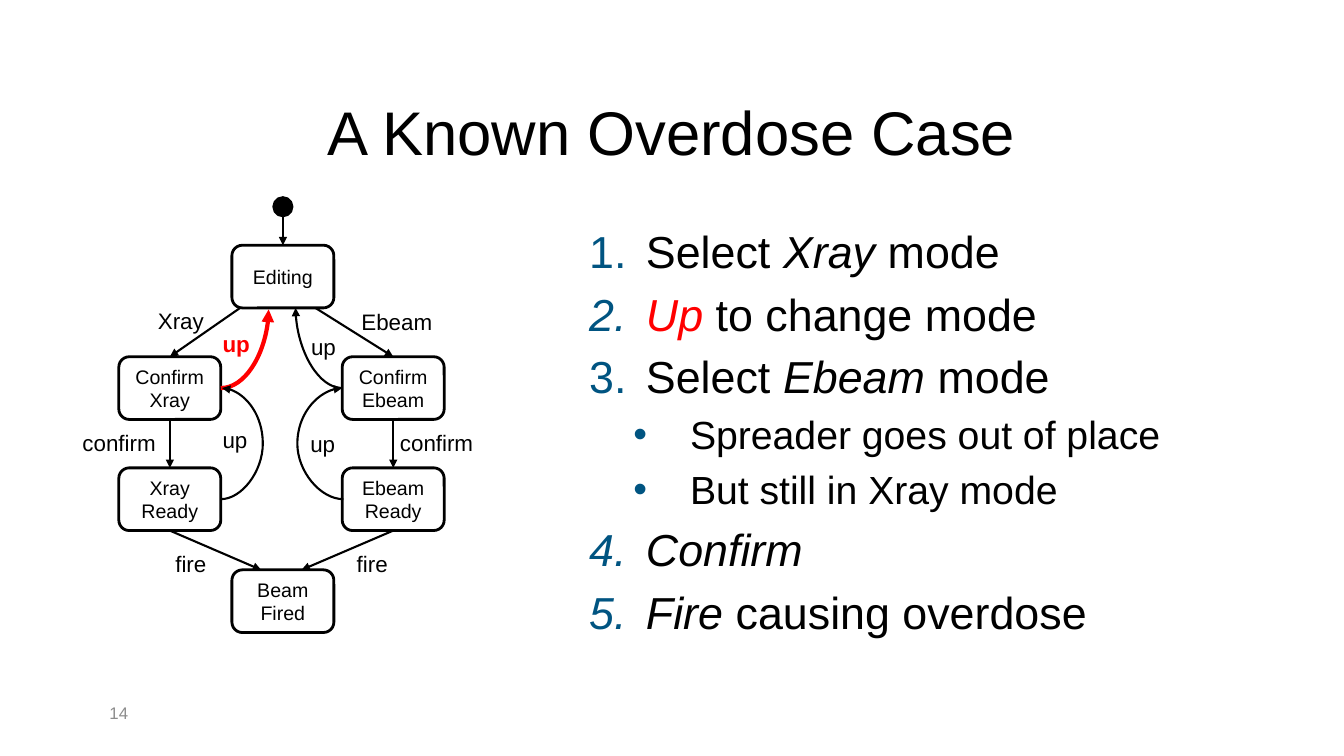
from lxml import etree
from pptx import Presentation
from pptx.dml.color import RGBColor
from pptx.enum.shapes import MSO_CONNECTOR, MSO_SHAPE
from pptx.enum.text import MSO_ANCHOR, PP_ALIGN
from pptx.oxml.ns import qn
from pptx.util import Cm, Pt

BLACK = RGBColor(0x00, 0x00, 0x00)
WHITE = RGBColor(0xFF, 0xFF, 0xFF)
RED = RGBColor(0xFF, 0x00, 0x00)
GRAY = RGBColor(0x8C, 0x8C, 0x8C)
BLUE = RGBColor(0x00, 0x54, 0x81)

ROUNDED, DOT = MSO_SHAPE.ROUNDED_RECTANGLE, MSO_SHAPE.FLOWCHART_CONNECTOR
STRAIGHT, CURVE = MSO_CONNECTOR.STRAIGHT, MSO_CONNECTOR.CURVE
LEFT, CENTER = PP_ALIGN.LEFT, PP_ALIGN.CENTER
TOP, MIDDLE = MSO_ANCHOR.TOP, MSO_ANCHOR.MIDDLE

# State grid in cm: three column centres and four row tops
STATE_W, STATE_H = 2.57, 1.58
XRAY_X, MAIN_X, EBEAM_X = 4.28, 7.13, 9.91
EDIT_Y, CONFIRM_Y, READY_Y, FIRED_Y = 6.18, 8.99, 11.79, 14.36


def write(paragraph, text, size=16, color=BLACK, bold=False, italic=False):
    run = paragraph.add_run()
    run.text = text
    font = run.font
    font.name, font.size = "Arial", Pt(size)
    font.bold, font.italic = bold, italic
    font.color.rgb = color


def add_xml(parent, tag, **attributes):
    return etree.SubElement(parent, qn(tag), attributes)


class DiagramSlide:
    def __init__(self, slide):
        self.shapes = slide.shapes

    def text(self, x, y, w, h, text="", align=LEFT, anchor=TOP, **fmt):
        frame = self.shapes.add_textbox(Cm(x), Cm(y), Cm(w), Cm(h)).text_frame
        frame.word_wrap = True
        frame.vertical_anchor = anchor
        frame.paragraphs[0].alignment = align
        if text:
            write(frame.paragraphs[0], text, **fmt)
        return frame

    def shape(self, kind, x, y, w, h, fill):
        shape = self.shapes.add_shape(kind, Cm(x), Cm(y), Cm(w), Cm(h))
        shape.shadow.inherit = False
        shape.fill.solid()
        shape.fill.fore_color.rgb = fill
        shape.line.color.rgb = BLACK
        shape.line.width = Pt(2)
        return shape

    def state(self, name, center_x, y):
        box = self.shape(ROUNDED, center_x - STATE_W / 2, y, STATE_W, STATE_H, WHITE)
        frame = box.text_frame
        frame.word_wrap = True
        frame.vertical_anchor = MIDDLE
        frame.paragraphs[0].alignment = CENTER
        write(frame.paragraphs[0], name, size=14)

    def arrow(self, start, end, kind=STRAIGHT, width=1.5, color=BLACK):
        arrow = self.shapes.add_connector(kind, *map(Cm, start + end))
        arrow.line.color.rgb = color
        arrow.line.width = Pt(width)
        add_xml(arrow.line._get_or_add_ln(), "a:tailEnd", type="triangle")
        add_xml(arrow._element.spPr, "a:effectLst")
        return arrow

    def quarter_curve(self, start, end, **style):
        arrow = self.arrow(start, end, CURVE, **style)
        arrow._element.spPr.find(qn("a:prstGeom")).set("prst", "curvedConnector2")

    def loop_curve(self, start, end, bulge):
        arrow = self.arrow(start, end, CURVE)
        adjust = round(100000 * bulge / abs(end[0] - start[0]))
        guides = arrow._element.spPr.find(qn("a:prstGeom")).get_or_add_avLst()
        add_xml(guides, "a:gd", name="adj1", fmla=f"val {adjust}")

    def list_item(self, paragraph, runs, level):
        paragraph.level = level
        props = paragraph._p.get_or_add_pPr()
        props.set("marL", str(Cm(2.54 if level else 1.43)))
        props.set("indent", str(Cm(-1.43)))
        add_xml(add_xml(props, "a:spcBef"), "a:spcPct", val="20000")
        add_xml(add_xml(props, "a:buClr"), "a:srgbClr", val=str(BLUE))
        add_xml(props, "a:buFont", typeface="Arial")
        if level:
            add_xml(props, "a:buChar", char="•")
        else:
            add_xml(props, "a:buAutoNum", type="arabicPeriod")
        for text, fmt in runs:
            write(paragraph, text, size=28 if level else 32, **fmt)


def main():
    prs = Presentation()
    prs.slide_width, prs.slide_height = Cm(33.87), Cm(19.05)
    page = DiagramSlide(prs.slides.add_slide(prs.slide_layouts[6]))

    # Title and page number
    page.text(2.54, 1.7, 28.78, 3.18, "A Known Overdose Case",
              align=CENTER, anchor=MIDDLE, size=44)
    page.text(2.51, 17.45, 2.34, 1.02, "14", anchor=MIDDLE, size=12, color=GRAY)

    # Steps: list level and runs
    plain, italic = {}, {"italic": True}
    steps = [
        (0, [("Select ", plain), ("Xray", italic), (" mode", plain)]),
        (0, [("Up", {"italic": True, "color": RED}), (" to change mode", plain)]),
        (0, [("Select ", plain), ("Ebeam", italic), (" mode", plain)]),
        (1, [("Spreader goes out of place", plain)]),
        (1, [("But still in Xray mode", plain)]),
        (0, [("Confirm", italic)]),
        (0, [("Fire", italic), (" causing overdose", plain)]),
    ]
    step_list = page.text(14.6, 5.51, 19.05, 11.23)
    for index, (level, runs) in enumerate(steps):
        paragraph = step_list.add_paragraph() if index else step_list.paragraphs[0]
        page.list_item(paragraph, runs, level)

    # States
    for name, x, y in [
        ("Editing", MAIN_X, EDIT_Y),
        ("Confirm Xray", XRAY_X, CONFIRM_Y),
        ("Confirm Ebeam", EBEAM_X, CONFIRM_Y),
        ("Xray Ready", XRAY_X, READY_Y),
        ("Ebeam Ready", EBEAM_X, READY_Y),
        ("Beam Fired", MAIN_X, FIRED_Y),
    ]:
        page.state(name, x, y)

    # Start marker
    page.shape(DOT, MAIN_X - 0.23, 4.98, 0.46, 0.46, BLACK)
    page.arrow((MAIN_X, 5.44), (MAIN_X, EDIT_Y), width=1)

    # Forward transitions of both branches
    edit_bottom = EDIT_Y + STATE_H
    for x, edit_x, fired_x in [(XRAY_X, 6.05, 6.58), (EBEAM_X, 7.95, 7.6)]:
        page.arrow((edit_x, edit_bottom), (x, CONFIRM_Y))
        page.arrow((x, CONFIRM_Y + STATE_H), (x, READY_Y))
        page.arrow((x, READY_Y + STATE_H), (fired_x, FIRED_Y))

    # Backward transitions
    confirm_mid, ready_mid = CONFIRM_Y + STATE_H / 2, READY_Y + STATE_H / 2
    xray_side, ebeam_side = XRAY_X + STATE_W / 2, EBEAM_X - STATE_W / 2
    page.quarter_curve((xray_side, confirm_mid), (6.77, 7.8), width=3, color=RED)
    page.quarter_curve((ebeam_side, confirm_mid), (7.45, edit_bottom))
    page.loop_curve((xray_side, ready_mid), (xray_side + 0.03, confirm_mid), 1.06)
    page.loop_curve((ebeam_side + 0.03, ready_mid), (ebeam_side, confirm_mid), 1.16)

    # Transition labels
    for label, x, y, w in [
        ("Xray", 3.73, 7.62, 1.68), ("Ebeam", 8.86, 7.65, 2.34),
        ("confirm", 1.83, 10.69, 2.4), ("confirm", 9.83, 10.69, 2.44),
        ("fire", 4.17, 13.74, 1.68), ("fire", 8.74, 13.74, 1.68),
        ("up", 7.59, 8.28, 1.27), ("up", 5.36, 10.62, 1.27),
        ("up", 7.57, 10.72, 1.27),
    ]:
        page.text(x, y, w, 0.94, label)
    page.text(5.36, 8.2, 1.27, 0.94, "up", color=RED, bold=True)

    prs.save("out.pptx")


if __name__ == "__main__":
    main()
